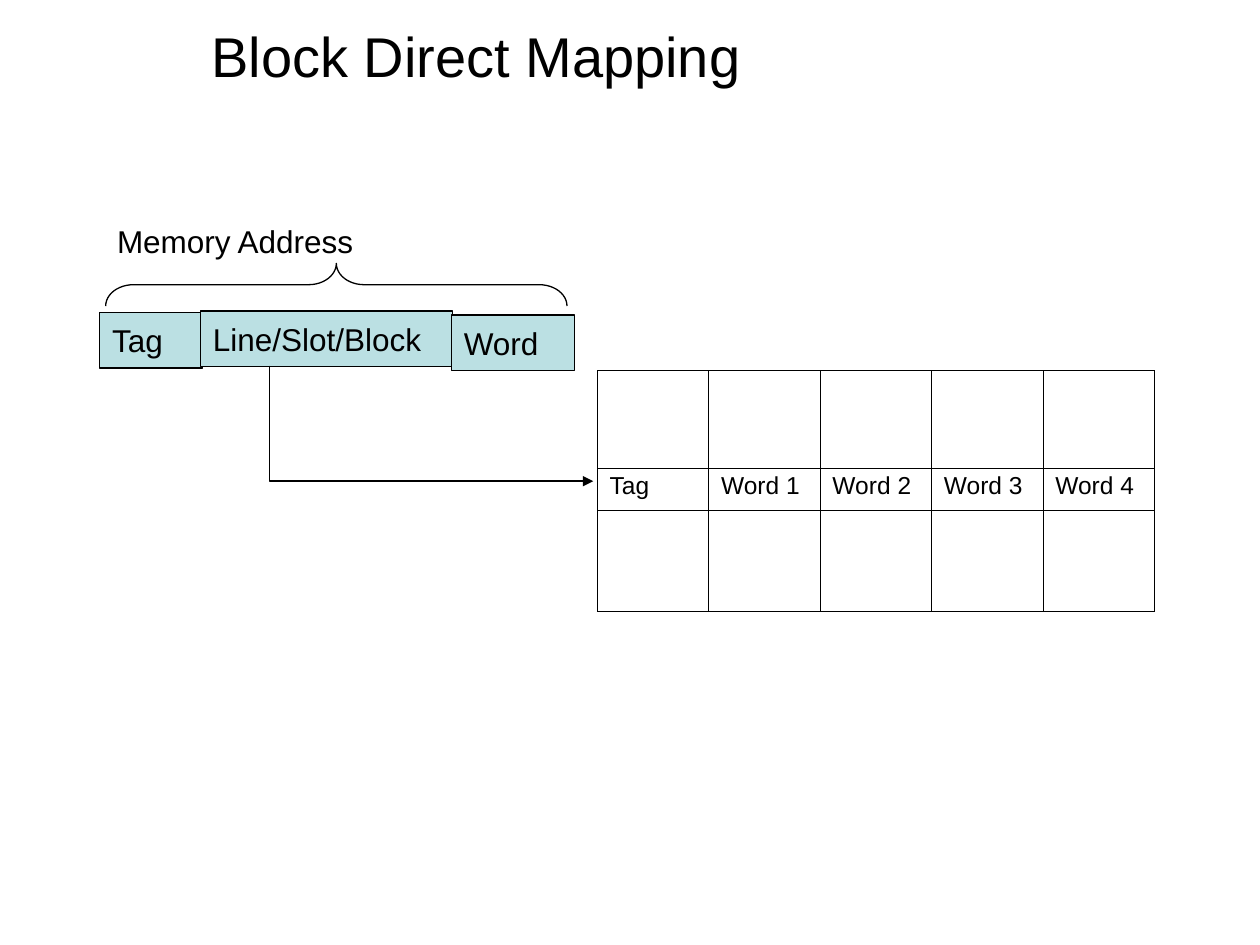
"""Build the Block Direct Mapping slide."""
from dataclasses import dataclass

import lxml.etree
import pptx
import pptx.dml.color
import pptx.enum.shapes
import pptx.enum.text
import pptx.oxml
import pptx.oxml.ns
import pptx.util

Cm = pptx.util.Cm
Pt = pptx.util.Pt
ANCHOR = pptx.enum.text.MSO_ANCHOR
SHAPE = pptx.enum.shapes.MSO_SHAPE

COLORS = {"ink": "000000", "field": "BBE0E3"}
FRAME_FORMAT = {
    "margin_left": Cm(0.25),
    "margin_right": Cm(0.25),
    "margin_top": Cm(0.13),
    "margin_bottom": Cm(0.13),
}
WORD_FORMAT = {"line_spacing": 0.93, "space_before": Pt(3.5)}
BORDER_SIDES = ("a:lnL", "a:lnR", "a:lnT", "a:lnB")


@dataclass
class Box:
    """A rectangle in centimetres."""

    left: float
    top: float
    width: float
    height: float

    def lengths(self) -> tuple:
        """Return the four lengths in slide units."""
        return Cm(self.left), Cm(self.top), Cm(self.width), Cm(self.height)


@dataclass
class Label:
    """A piece of text and its place."""

    text: str
    box: Box
    size: int = 18
    wrap: bool = True
    anchor: ANCHOR = ANCHOR.MIDDLE


TITLE = Label("Block Direct Mapping", Box(4.01, 0.43, 16.94, 1.35), size=32)
ADDRESS = Label("Memory Address", Box(2.11, 4.34, 5.31, 1.02), wrap=False, anchor=ANCHOR.TOP)
ADDRESS_FIELDS = [
    Label("Tag", Box(2.01, 6.3, 2.08, 1.12)),
    Label("Line/Slot/Block", Box(4.04, 6.27, 5.08, 1.12)),
    Label("Word", Box(9.1, 6.35, 2.49, 1.12)),
]
BRACE = Box(6.35, 1.09, 0.86, 9.3)
LOOKUP_ROUTE = [(5.44, 7.37), (5.44, 9.7), (11.96, 9.7)]
CACHE = Box(12.04, 7.47, 11.23, 4.83)
CACHE_LINE = ["Tag", "Word 1", "Word 2", "Word 3", "Word 4"]
CACHE_ROW_HEIGHTS = [1.96, 0.86, 2.03]


def rgb(name: str) -> pptx.dml.color.RGBColor:
    """Look up a named colour."""
    return pptx.dml.color.RGBColor.from_string(COLORS[name])


def apply_format(target, values: dict) -> None:
    """Set each format value on the target."""
    for attribute, value in values.items():
        setattr(target, attribute, value)


def write_text(frame, text: str, size: int) -> None:
    """Write one left-aligned paragraph."""
    paragraph = frame.paragraphs[0]
    paragraph.alignment = pptx.enum.text.PP_ALIGN.LEFT
    run = paragraph.add_run()
    run.text = text
    apply_format(run.font, {"name": "Arial", "size": Pt(size)})
    run.font.color.rgb = rgb("ink")


def fill_label(shape, label: Label) -> None:
    """Lay out a label inside its shape."""
    layout = {"word_wrap": label.wrap, "vertical_anchor": label.anchor}
    apply_format(shape.text_frame, FRAME_FORMAT | layout)
    write_text(shape.text_frame, label.text, label.size)


def outline(shape) -> None:
    """Give a shape a thin dark line without shadow."""
    shape.shadow.inherit = False
    shape.line.color.rgb = rgb("ink")
    shape.line.width = Pt(0.75)


def draw_label(slide, label: Label) -> None:
    """Draw free-standing text."""
    fill_label(slide.shapes.add_textbox(*label.box.lengths()), label)


def draw_field(slide, field: Label) -> None:
    """Draw one field of the memory address."""
    rectangle = slide.shapes.add_shape(SHAPE.RECTANGLE, *field.box.lengths())
    outline(rectangle)
    rectangle.fill.solid()
    rectangle.fill.fore_color.rgb = rgb("field")
    fill_label(rectangle, field)


def draw_brace(slide, box: Box) -> None:
    """Draw the brace over the address fields."""
    brace = slide.shapes.add_shape(SHAPE.LEFT_BRACE, *box.lengths())
    brace.rotation = 90
    brace.adjustments[0] = 0.65
    brace.fill.background()
    outline(brace)


def draw_route(slide, points: list) -> None:
    """Draw the arrow from the address to the cache line."""
    start, *bends = [(Cm(x), Cm(y)) for x, y in points]
    builder = slide.shapes.build_freeform(*start)
    builder.add_line_segments(bends, close=False)
    route = builder.convert_to_shape()
    route.fill.background()
    outline(route)
    line = route.line.fill and route.line._get_or_add_ln()
    lxml.etree.SubElement(line, pptx.oxml.ns.qn("a:tailEnd"), type="triangle")


def draw_borders(cell) -> None:
    """Draw a hairline on every side of a cell."""
    properties = cell._tc.get_or_add_tcPr()
    for position, side in enumerate(BORDER_SIDES):
        border = pptx.oxml.parse_xml(
            f'<{side} {pptx.oxml.ns.nsdecls("a")} w="{Pt(0.23)}"><a:solidFill>'
            f'<a:srgbClr val="{COLORS["ink"]}"/></a:solidFill></{side}>'
        )
        properties.insert(position, border)


def draw_cache(slide, box: Box) -> None:
    """Draw the cache with its addressed line."""
    size = len(CACHE_ROW_HEIGHTS), len(CACHE_LINE)
    table = slide.shapes.add_table(*size, *box.lengths()).table
    apply_format(table, {"first_row": False, "horz_banding": False})
    for column in table.columns:
        column.width = Cm(box.width / len(CACHE_LINE))
    for row, height in zip(table.rows, CACHE_ROW_HEIGHTS):
        row.height = Cm(height)
    for cell in table.iter_cells():
        cell.fill.background()
        apply_format(cell, FRAME_FORMAT)
        draw_borders(cell)
    for cell, word in zip(table.rows[1].cells, CACHE_LINE):
        write_text(cell.text_frame, word, 14)
        apply_format(cell.text_frame.paragraphs[0], WORD_FORMAT)


def main() -> None:
    """Build and save the slide."""
    deck = pptx.Presentation()
    apply_format(deck, {"slide_width": Cm(25.4), "slide_height": Cm(19.05)})
    slide = deck.slides.add_slide(deck.slide_layouts[6])
    draw_label(slide, TITLE)
    for field in ADDRESS_FIELDS:
        draw_field(slide, field)
    draw_cache(slide, CACHE)
    draw_route(slide, LOOKUP_ROUTE)
    draw_brace(slide, BRACE)
    draw_label(slide, ADDRESS)
    deck.save("out.pptx")


if __name__ == "__main__":
    main()
